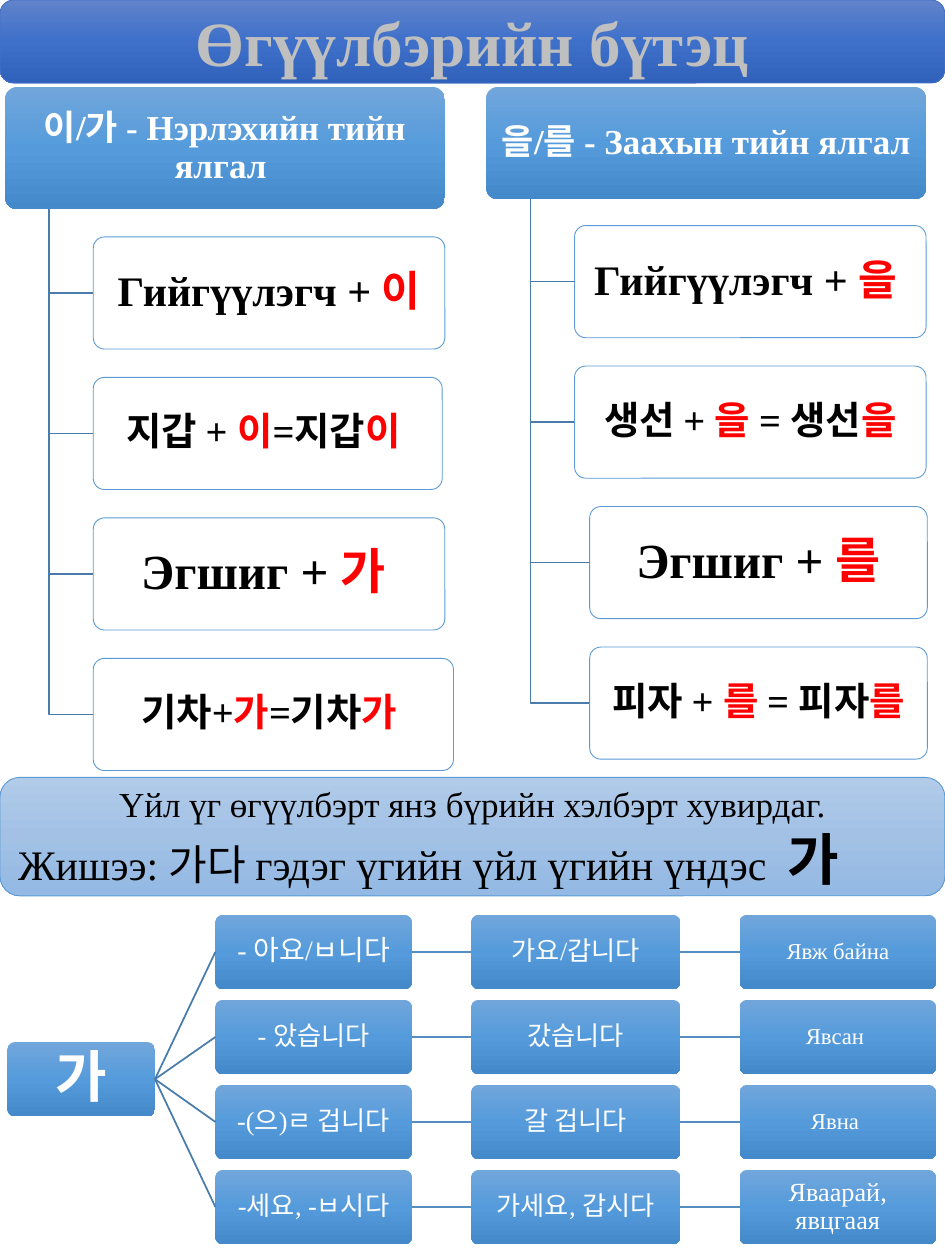
import copy

import pptx
import pptx.dml.color
import pptx.enum.shapes
import pptx.enum.text
import pptx.oxml.ns
import pptx.util
from lxml import etree

Inches = pptx.util.Inches
Pt = pptx.util.Pt
RGB = pptx.dml.color.RGBColor
qn = pptx.oxml.ns.qn
ALIGN = pptx.enum.text.PP_ALIGN
FONT = "Times New Roman"

WHITE, BLACK, RED = RGB(255, 255, 255), RGB(0, 0, 0), RGB(255, 0, 0)
SILVER = RGB(0xBF, 0xBF, 0xBF)
BORDER, TITLE_BORDER = RGB(0x5B, 0x9B, 0xD5), RGB(0x44, 0x72, 0xC4)
BRANCH, LINK = RGB(0x49, 0x7C, 0xAB), RGB(0x53, 0x8D, 0xC1)
BLUE = [RGB(0x71, 0xA6, 0xDB), RGB(0x55, 0x9B, 0xDB), RGB(0x44, 0x8A, 0xCA)]
PALE = [RGB(0xB1, 0xCB, 0xE9), RGB(0xA3, 0xC1, 0xE5), RGB(0x93, 0xB9, 0xE4)]
DEEP = [RGB(0x61, 0x83, 0xCB), RGB(0x3E, 0x70, 0xCA), RGB(0x30, 0x62, 0xBB)]

# Content
TITLE = "Өгүүлбэрийн бүтэц"
RULE = "Үйл үг өгүүлбэрт янз бүрийн хэлбэрт хувирдаг."
EXAMPLE, STEM = "Жишээ: 가다 гэдэг үгийн үйл үгийн үндэс  ", "가"

# Each example: indent from the header, width, size, pieces alternating black and red
CASES = [
    {"left": 0.04, "height": 0.97, "first": 1.88,
     "header": "이/가 - Нэрлэхийн тийн ялгал ",
     "examples": [(0.7, 2.79, 24, ["Гийгүүлэгч + ", "이"]),
                  (0.7, 2.77, 22, ["지갑 + ", "이", "=지갑", "이 "]),
                  (0.7, 2.79, 28, ["Эгшиг + ", "가 "]),
                  (0.7, 2.86, 22, ["기차+", "가", "=기차", "가 "])]},
    {"left": 3.86, "height": 0.89, "first": 1.79,
     "header": "을/를 - Заахын тийн ялгал",
     "examples": [(0.7, 2.79, 24, ["Гийгүүлэгч + ", "을 "]),
                  (0.7, 2.79, 22, ["생선 + ", "을 ", "= 생선", "을"]),
                  (0.82, 2.68, 28, ["Эгшиг + ", "를"]),
                  (0.82, 2.68, 22, ["피자 + ", "를 ", "= 피자", "를"])]},
]

# Each row: ending, conjugated form, meaning, with text sizes
ENDINGS = [
    [("- 아요/ㅂ니다", 16), ("가요/갑니다", 15), ("Явж байна", 13)],
    [("- 았습니다", 15), ("갔습니다", 15), ("Явсан ", 13)],
    [("-(으)ㄹ 겁니다", 15), ("갈 겁니다", 15), ("Явна ", 13)],
    [("-세요, -ㅂ시다", 15), ("가세요, 갑시다", 15), ("Яваарай, явцгаая", 15)],
]
COLUMNS = [(1.71, 1.56), (3.74, 1.66), (5.87, 1.56)]
TREE_TOP, TREE_PITCH, NODE_HEIGHT = 7.26, 0.675, 0.59
CASE_TOP, CASE_WIDTH, CASE_PITCH, EXAMPLE_HEIGHT = 0.69, 3.49, 1.115, 0.89

deck = pptx.Presentation()
deck.slide_width, deck.slide_height = Inches(7.5), Inches(10)
page = deck.slides.add_slide(deck.slide_layouts[6])


def add_span(para, text, size, color, bold=False):
    span = para.add_run()
    span.text = text
    span.font.name, span.font.size = FONT, Pt(size)
    span.font.color.rgb, span.font.bold = color, bold


def add_box(left, top, width, height, fill, border=None, corner=None):
    """Rounded box with a three-colour gradient, or a nearly opaque plain fill."""
    box = page.shapes.add_shape(pptx.enum.shapes.MSO_SHAPE.ROUNDED_RECTANGLE,
                                Inches(left), Inches(top), Inches(width), Inches(height))
    box.shadow.inherit = False
    if corner:
        box.adjustments[0] = corner
    if isinstance(fill, list):
        box.fill.gradient()
        box.fill.gradient_angle = 270
        stops = box._element.spPr.find(".//" + qn("a:gsLst"))
        stops.insert(1, copy.deepcopy(stops[0]))
        for stop, position, color in zip(box.fill.gradient_stops, (0, 0.5, 1), fill):
            stop.position, stop.color.rgb = position, color
    else:
        box.fill.solid()
        box.fill.fore_color.rgb = fill
        color = box._element.spPr.find(qn("a:solidFill"))[0]
        etree.SubElement(color, qn("a:alpha")).set("val", "90000")
    if border:
        box.line.color.rgb, box.line.width = border, Pt(0.5)
    else:
        box.line.fill.background()
    box.text_frame.word_wrap = True
    box.text_frame.vertical_anchor = pptx.enum.text.MSO_ANCHOR.MIDDLE
    box.text_frame.paragraphs[0].alignment = ALIGN.CENTER
    return box


def write(box, *pieces, size, colors, bold=False, inset=0.03):
    """Fill a diagram box, cycling the colours over the pieces."""
    frame = box.text_frame
    frame.margin_left = frame.margin_right = Inches(inset)
    frame.margin_top = frame.margin_bottom = Inches(inset)
    para = frame.paragraphs[0]
    para.line_spacing = 0.9
    for index, text in enumerate(pieces):
        add_span(para, text, size, colors[index % len(colors)], bold)


def join(start, end, color):
    """Straight line from the right side of one box to the left of another."""
    line = page.shapes.add_connector(pptx.enum.shapes.MSO_CONNECTOR.STRAIGHT, 0, 0, 0, 0)
    line.begin_connect(start, 3)
    line.end_connect(end, 1)
    line.line.color.rgb, line.line.width = color, Pt(1)
    etree.SubElement(line._element.spPr, qn("a:effectLst"))


def add_elbow(x, top, bottom, right):
    builder = page.shapes.build_freeform(Inches(x), Inches(top))
    builder.add_line_segments([(Inches(x), Inches(bottom)), (Inches(right), Inches(bottom))],
                              close=False)
    elbow = builder.convert_to_shape()
    elbow.shadow.inherit = False
    elbow.fill.background()
    elbow.line.color.rgb, elbow.line.width = BRANCH, Pt(1)


# Verb rule banner
banner = add_box(0, 6.17, 7.5, 0.94, PALE, BORDER)
add_span(banner.text_frame.paragraphs[0], RULE, 20, BLACK)
para = banner.text_frame.add_paragraph()
para.alignment = ALIGN.LEFT
add_span(para, EXAMPLE, 24, BLACK)
add_span(para, STEM, 32, BLACK, bold=True)

# Conjugation tree
root = add_box(0.06, 8.27, 1.17, NODE_HEIGHT, BLUE, corner=0.1)
write(root, STEM, size=32, colors=[WHITE], bold=True)
for row, cells in enumerate(ENDINGS):
    previous = root
    for (left, width), (text, size) in zip(COLUMNS, cells):
        node = add_box(left, TREE_TOP + row * TREE_PITCH, width, NODE_HEIGHT, BLUE, corner=0.1)
        write(node, text, size=size, colors=[WHITE])
        join(previous, node, BRANCH if previous is root else LINK)
        previous = node

# Case particles
for case in CASES:
    left, bottom = case["left"], CASE_TOP + case["height"]
    header = add_box(left, CASE_TOP, CASE_WIDTH, case["height"], BLUE, corner=0.1)
    write(header, case["header"], size=20, colors=[WHITE], bold=True, inset=0.07)
    for row, (indent, width, size, pieces) in enumerate(case["examples"]):
        top = case["first"] + row * CASE_PITCH
        add_elbow(left + 0.35, bottom, top + EXAMPLE_HEIGHT / 2, left + indent)
        box = add_box(left + indent, top, width, EXAMPLE_HEIGHT, WHITE, BORDER, corner=0.1)
        write(box, *pieces, size=size, colors=[BLACK, RED], bold=True, inset=0.08)

# Title
title = add_box(0, 0, 7.5, 0.66, DEEP, TITLE_BORDER)
add_span(title.text_frame.paragraphs[0], TITLE, 36, SILVER, bold=True)

deck.save("out.pptx")
